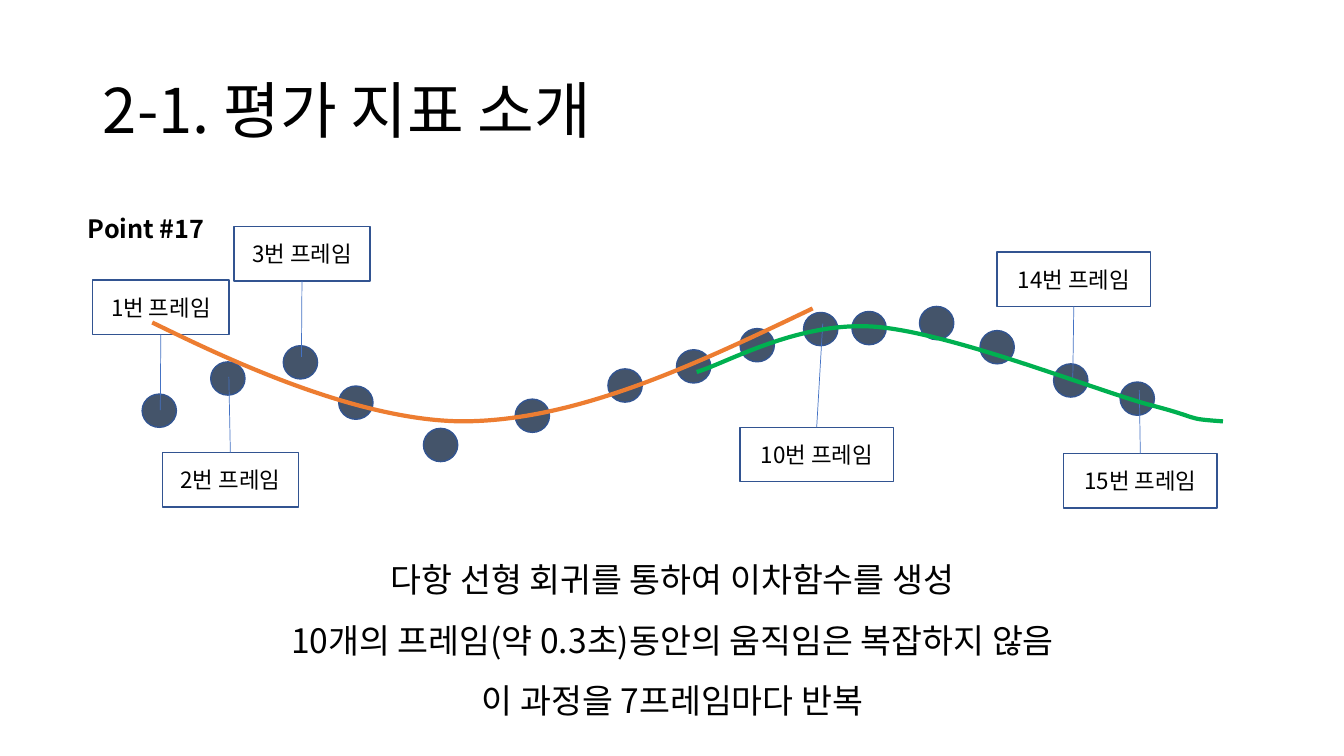
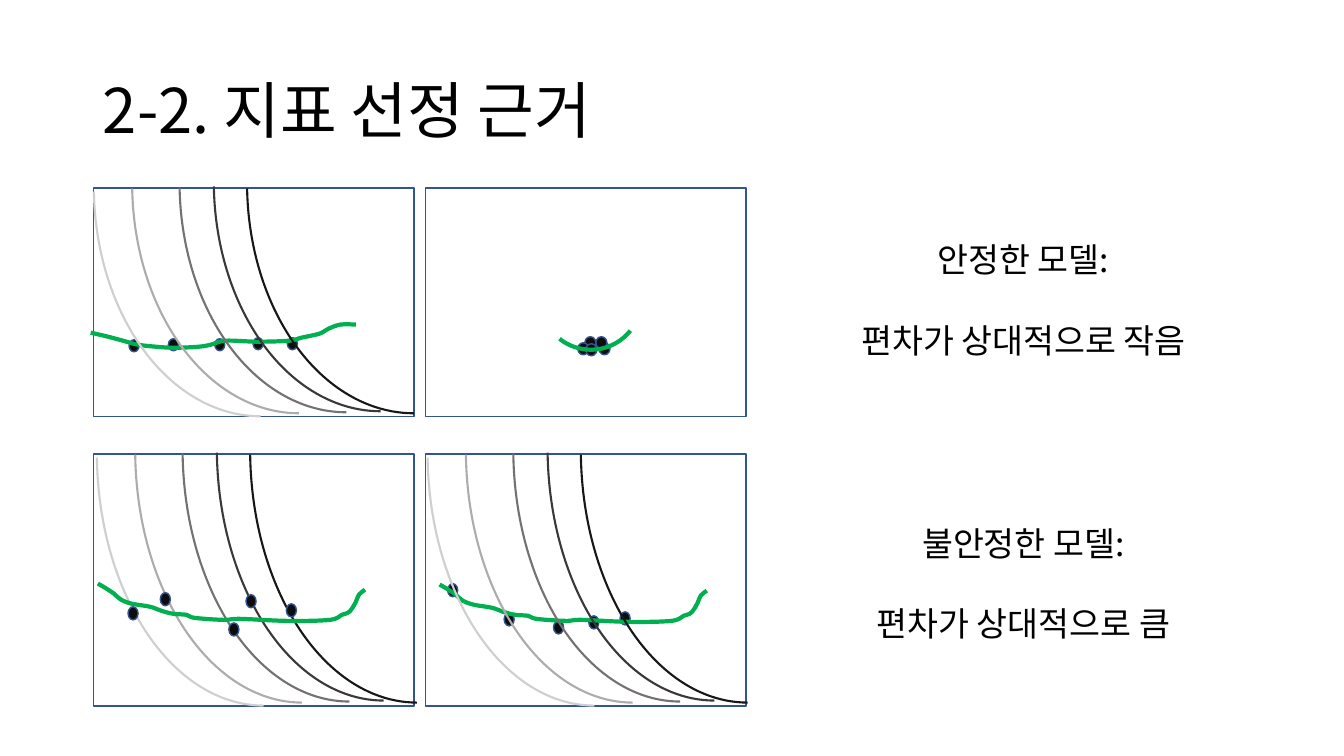
"""Build two slides on the evaluation metric for pose stability."""
from lxml.etree import SubElement
from pptx import Presentation
from pptx.dml.color import RGBColor
from pptx.enum.shapes import MSO_CONNECTOR as Connector, MSO_SHAPE as Shape
from pptx.enum.text import MSO_ANCHOR as Anchor, PP_ALIGN as Align
from pptx.oxml.ns import qn
from pptx.util import Inches, Pt

FONT = "Noto Sans CJK KR"
BLACK = RGBColor(0x00, 0x00, 0x00)
WHITE = RGBColor(0xFF, 0xFF, 0xFF)
OUTLINE = RGBColor(0x32, 0x54, 0x91)
LEADER = RGBColor(0x44, 0x72, 0xC4)
FRAME_DOT = RGBColor(0x44, 0x54, 0x6A)
PANEL_DOT = RGBColor(0x0D, 0x0D, 0x0D)
GREEN = RGBColor(0x00, 0xB0, 0x50)
ORANGE = RGBColor(0xED, 0x7D, 0x31)
SWEEP = (
    (0, 0, RGBColor(0xD0, 0xCE, 0xCE)),
    (8.5, -0.4, RGBColor(0x76, 0x71, 0x71)),
    (3.8, -0.3, RGBColor(0xAF, 0xAB, 0xAB)),
    (11.9, -0.5, RGBColor(0x3B, 0x38, 0x38)),
    (15.2, -0.3, RGBColor(0x18, 0x17, 0x17)),
)
TOP, BOTTOM = 0, 2


def cells(*counts):
    """Turn counts of 0.1 inch grid cells into lengths."""
    return [Inches(count / 10) for count in counts]


def write(frame, text, size=24, bold=False, align=Align.CENTER, spacing=None, gap=0):
    """Fill a text frame with one paragraph per line of text."""
    frame.word_wrap = True
    frame.vertical_anchor = Anchor.MIDDLE
    for index, line in enumerate(text.split("\n")):
        paragraph = frame.add_paragraph() if index else frame.paragraphs[0]
        paragraph.alignment = align
        paragraph.line_spacing = spacing
        paragraph.space_before = Pt(gap if index else 0)
        run = paragraph.add_run()
        run.text = line
        run.font.size = Pt(size)
        run.font.bold = bold
        run.font.color.rgb = BLACK
        run.font.name = FONT
        SubElement(run.font._element, qn("a:ea")).set("typeface", FONT)


def smooth(knots):
    """Return Bezier control points of a curve through all knots."""
    padded = [knots[0], *knots, knots[-1]]
    controls = [knots[0]]
    for before, start, end, after in zip(padded, padded[1:], padded[2:], padded[3:]):
        controls += [
            tuple(s + (e - b) / 6 for b, s, e in zip(before, start, end)),
            tuple(e - (a - s) / 6 for s, e, a in zip(start, end, after)),
            end,
        ]
    return controls


class Deck:
    """Hold the shared style and the current slide."""

    def __init__(self):
        """Start a wide presentation."""
        self.show = Presentation()
        self.show.slide_width, self.show.slide_height = Inches(13.33), Inches(7.5)
        self.slide = None

    def start(self, heading):
        """Add a slide with its title."""
        self.slide = self.show.slides.add_slide(self.show.slide_layouts[5])
        title = self.slide.shapes.title
        title.left, title.top, title.width, title.height = cells(9.2, 4, 115, 14.5)
        write(title.text_frame, heading, size=44, align=Align.LEFT, spacing=0.9)

    def style(self, shape, fill=None, line=None, weight=1):
        """Give a shape its fill and outline, without shadow."""
        shape.shadow.inherit = False
        if fill is None:
            shape.fill.background()
        else:
            shape.fill.solid()
            shape.fill.fore_color.rgb = fill
        if line is None:
            shape.line.fill.background()
        else:
            shape.line.color.rgb = line
            shape.line.width = Pt(weight)
        return shape

    def box(self, area, text="", line=None, **text_format):
        """Add a white rectangle, with text if given."""
        box = self.slide.shapes.add_shape(Shape.RECTANGLE, *cells(*area))
        self.style(box, WHITE, line)
        if text:
            write(box.text_frame, text, **text_format)
        return box

    def caption(self, area, text, **text_format):
        """Add plain text."""
        caption = self.slide.shapes.add_textbox(*cells(*area))
        write(caption.text_frame, text, **text_format)

    def dots(self, corners, width, height, fill):
        """Add equal dots at the given corners."""
        for left, top in corners:
            dot = self.slide.shapes.add_shape(Shape.OVAL, *cells(left, top, width, height))
            self.style(dot, fill, OUTLINE)

    def arc(self, area, color, weight, rotation, sweep_end):
        """Add a rotated arc that starts at its top."""
        arc = self.slide.shapes.add_shape(Shape.ARC, *cells(*area))
        arc.adjustments[0], arc.adjustments[1] = 162, sweep_end
        arc.rotation = rotation
        self.style(arc, line=color, weight=weight)

    def curve(self, controls, color):
        """Draw a cubic curve through groups of three control points."""
        start, *rest = [cells(*point) for point in controls]
        builder = self.slide.shapes.build_freeform(*start)
        builder.add_line_segments(rest, close=False)
        curve = self.style(builder.convert_to_shape(), line=color, weight=3)
        steps = list(curve._element.iter(qn("a:lnTo")))
        outline = steps[0].getparent()
        for index in range(0, len(steps), 3):
            bend = SubElement(outline, qn("a:cubicBezTo"))
            for step in steps[index:index + 3]:
                bend.append(step[0])
                outline.remove(step)

    def leader(self, label, side, x, y):
        """Join the side of a label to a point."""
        leader = self.slide.shapes.add_connector(Connector.STRAIGHT, *cells(x, y, x, y))
        leader.begin_connect(label, side)
        leader.line.color.rgb = LEADER
        leader.line.width = Pt(0.5)
        SubElement(leader._element.spPr, qn("a:effectLst"))

    def frame_label(self, number, left, top, side, x, y):
        """Name one video frame and point at its dot."""
        width = 13.5 if number < 10 else 15.2
        label = self.box((left, top, width, 5.4), f"{number}번 프레임", OUTLINE, size=16)
        self.leader(label, side, x, y)

    def sweep(self, left, top, height):
        """Draw five arcs that darken from left to right."""
        for right, down, color in SWEEP:
            self.arc((left + right, top + down, 33.1, height), color, 1.5, 180, 214.855)


def metric_slide(deck):
    """Show curves fitted to the path of one point."""
    deck.start("2-1. 평가 지표 소개")
    deck.caption((7.4, 20.7, 14.2, 3.9), "Point #17", size=18, bold=True)
    deck.box(
        (9.2, 53.9, 115, 17.1),
        "다항 선형 회귀를 통하여 이차함수를 생성\n"
        "10개의 프레임(약 0.3초)동안의 움직임은 복잡하지 않음\n"
        "이 과정을 7프레임마다 반복",
        spacing=1.5,
    )
    track = (
        (14.1, 39.1), (20.9, 35.9), (28.1, 34.3), (33.6, 38.3), (42, 42.5),
        (51.1, 39.6), (60.3, 36.6), (67.1, 34.7), (73.4, 32.6), (79.7, 31),
        (84.5, 30.9), (91.2, 30.4), (97.2, 32.8), (104.5, 36.1), (111.1, 37.9),
    )
    deck.dots(track, 3.4, 3.3, FRAME_DOT)
    for label in (
        (1, 9.2, 27.8, BOTTOM, 15.9, 40.7),
        (2, 16.1, 44.9, TOP, 22.7, 37.4),
        (3, 23.2, 22.5, BOTTOM, 29.9, 35.4),
        (10, 73.4, 42.4, TOP, 81.6, 32.1),
        (14, 98.9, 25, BOTTOM, 106.4, 37.7),
        (15, 105.5, 45, TOP, 113, 38.7),
    ):
        deck.frame_label(*label)
    second_fit = (
        (69.1, 36.9), (72.1, 36), (79.1, 31.9), (86.6, 32.4), (94, 32.9),
        (108.1, 38.5), (113.8, 40.1), (119.6, 41.6), (117.2, 41.5), (121.3, 41.8),
    )
    first_fit = (
        (80.6, 30.6), (68.9, 36.2), (57.1, 41.8), (45.8, 41.8),
        (34.6, 41.7), (20.7, 34.7), (15.1, 32),
    )
    deck.curve(second_fit, GREEN)
    deck.curve(first_fit, ORANGE)


def reason_slide(deck):
    """Compare a stable and an unstable model."""
    deck.start("2-2. 지표 선정 근거")
    for top, verdict in (
        (18.4, "안정한 모델:\n편차가 상대적으로 작음"),
        (46.5, "불안정한 모델:\n편차가 상대적으로 큼"),
    ):
        deck.box((77.2, top, 48.6, 22.7), verdict, gap=28.8)
    for top, height in ((18.65, 22.7), (45.05, 25)):
        for left in (9.25, 42.2):
            deck.box((left, top, 31.8, height), line=OUTLINE)

    stable_fit = (
        (9, 33), (10.7, 33.4), (12.2, 33.8), (13.7, 34.2), (15.5, 34.4),
        (17.3, 34.5), (19.7, 34.4), (20.9, 34.2), (22.4, 33.8), (25.5, 33.9),
        (28.7, 33.8), (29.9, 33.5), (31.7, 33.1), (32.6, 32.6), (33.8, 32.2),
        (35.3, 32.2),
    )
    stable_track = ((12.8, 33.7), (16.7, 33.6), (21.3, 33.6), (25.1, 33.5), (28.5, 33.5))
    deck.dots(stable_track, 1, 1.2, PANEL_DOT)
    deck.curve(smooth(stable_fit), GREEN)
    deck.sweep(9.3, -4.4, 45.7)

    still_track = ((58, 33.4), (57.3, 34), (58.1, 34.1), (59.4, 34), (59.1, 33.4))
    deck.dots(still_track, 1.1, 1.2, PANEL_DOT)
    deck.arc((53.6, 24.7, 10, 10), GREEN, 3, 128.5, 0)

    unstable_fit = (
        (9.7, 57.9), (10.4, 58.3), (11.3, 58.9), (12, 59.5), (13.1, 59.9),
        (14.9, 60.2), (16, 60.6), (17.2, 60.9), (18.5, 61), (19.3, 61.3),
        (22.2, 61.5), (23.8, 61.4), (28.5, 61.6), (32.7, 61.5), (33.9, 61),
        (34.5, 60.8), (34.9, 60.4), (35.3, 59.7), (35.6, 59), (36.2, 58.5),
    )
    scattered_track = ((12.7, 60.2), (15.9, 58.8), (22.7, 61.8), (24.4, 59), (28.4, 59.9))
    deck.sweep(9.6, 19.7, 50.3)
    deck.curve(smooth(unstable_fit), GREEN)
    deck.dots(scattered_track, 1, 1.3, PANEL_DOT)

    uneven_track = ((44.4, 57.9), (50, 60.8), (54.9, 61.6), (58.4, 61.1), (61.5, 60.7))
    deck.dots(uneven_track, 1, 1.3, PANEL_DOT)
    deck.curve(smooth([(x + 33.9, y + 0.1) for x, y in unstable_fit]), GREEN)
    deck.sweep(42.4, 19.7, 50.3)


def main():
    """Build and save the slides."""
    deck = Deck()
    metric_slide(deck)
    reason_slide(deck)
    deck.show.save("out.pptx")


if __name__ == "__main__":
    main()
